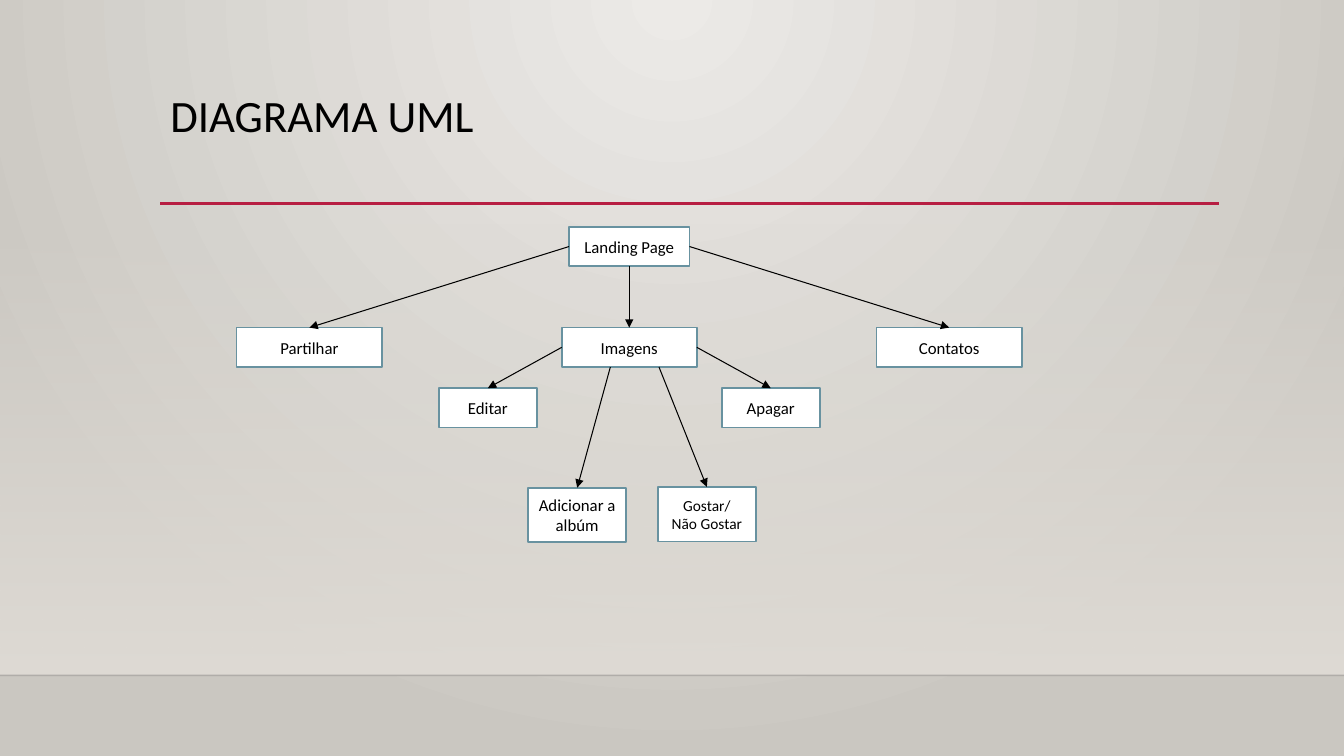
from lxml import etree
from pptx import Presentation
from pptx.dml.color import RGBColor
from pptx.enum.shapes import MSO_CONNECTOR, MSO_SHAPE
from pptx.enum.text import MSO_ANCHOR, PP_ALIGN
from pptx.oxml.ns import qn
from pptx.util import Pt

RECT = MSO_SHAPE.RECTANGLE
LINE = MSO_CONNECTOR.STRAIGHT
TOP, MIDDLE = MSO_ANCHOR.TOP, MSO_ANCHOR.MIDDLE
LEFT, CENTER = PP_ALIGN.LEFT, PP_ALIGN.CENTER

FONT = "Calibri"
WIDE, HIGH = 960, 540
AXIS = 449.5
FLOOR = 482.4
COLORS = {
    "glow": "ECEAE7", "edge": "CAC7C1", "panel": "DFDBD5", "floor": "000001",
    "rule": "B71E42", "box": "FFFFFF", "frame": "6892A0", "ink": "000000",
}
TITLE = "DIAGRAMA UML"

# name: lines, offset from axis, top, width, height, text size
BOXES = {
    "landing": (["Landing Page"], 0, 162, 86, 28.2, 12),
    "images": (["Imagens"], 0, 234, 96.5, 28.2, 12),
    "share": (["Partilhar"], -228.5, 234, 104, 28.2, 12),
    "contact": (["Contatos"], 228.5, 234, 104, 28.2, 12),
    "edit": (["Editar"], -101, 277.2, 70, 28.2, 12),
    "delete": (["Apagar"], 101, 277.2, 70, 28.2, 12),
    "album": (["Adicionar a albúm"], -37.2, 348.4, 70, 39, 12),
    "like": (["Gostar/", "Não Gostar"], 55.4, 347.8, 70, 39, 11),
}
LINKS = [
    ("landing", "images", 0.5, 1),
    ("landing", "share", 0, 0.5),
    ("landing", "contact", 1, 0.5),
    ("images", "edit", 0, 0.5),
    ("images", "delete", 1, 0.5),
    ("images", "album", 0.36, 1),
    ("images", "like", 0.72, 1),
]


def rgb(name):
    return RGBColor.from_string(COLORS[name])


def fade(fill, first, last):
    fill.gradient()
    for stop, name, place in zip(fill.gradient_stops, (first, last), (0, 1)):
        stop.color.rgb = rgb(name)
        stop.position = place


def clear(root, share):
    tint = next(root.iter(qn("a:srgbClr")))
    etree.SubElement(tint, qn("a:alpha"), val=str(share * 1000))


def draw(slide, start, end, name, width, arrow=False):
    line = slide.shapes.add_connector(LINE, *map(Pt, start + end))
    line.line.color.rgb = rgb(name)
    line.line.width = Pt(width)
    if arrow:
        etree.SubElement(line.line._get_or_add_ln(), qn("a:tailEnd"), type="triangle")
    etree.SubElement(line._element.spPr, qn("a:effectLst"))
    return line


def block(slide, left, top, width, height):
    shape = slide.shapes.add_shape(RECT, *map(Pt, (left, top, width, height)))
    shape.shadow.inherit = False
    return shape


def write(para, text, size, align):
    para.text = text
    para.alignment = align
    para.font.size = Pt(size)
    para.font.name = FONT
    para.font.color.rgb = rgb("ink")


def scene(slide):
    back = slide.background.fill
    fade(back, "glow", "edge")
    grad = next(slide._element.iter(qn("a:gradFill")))
    grad.remove(grad.find(qn("a:lin")))
    ring = etree.SubElement(grad, qn("a:path"), path="circle")
    etree.SubElement(ring, qn("a:fillToRect"), l="43000", t="0", r="43000", b="100000")

    panel = block(slide, 0, 159, WIDE, FLOOR - 159)
    panel.line.fill.background()
    fade(panel.fill, "panel", "panel")
    panel.fill.gradient_angle = 270
    clear(panel._element.spPr, 0)

    floor = draw(slide, (0, FLOOR), (WIDE, FLOOR), "floor", 1)
    clear(floor._element.spPr, 20)
    draw(slide, (114.5, 145.2), (871, 145.2), "rule", 2.5)


def heading(slide):
    title = slide.shapes.title
    title.left, title.top, title.width, title.height = map(Pt, (114.5, 63.4, 756, 82.8))
    title.text_frame.vertical_anchor = TOP
    para = title.text_frame.paragraphs[0]
    write(para, TITLE, 32, LEFT)
    para.line_spacing = 0.9


def node(slide, lines, shift, top, width, height, size):
    box = block(slide, AXIS + shift - width / 2, top, width, height)
    box.fill.solid()
    box.fill.fore_color.rgb = rgb("box")
    box.line.color.rgb = rgb("frame")
    box.line.width = Pt(1.25)
    frame = box.text_frame
    frame.word_wrap = True
    frame.vertical_anchor = MIDDLE
    for i, text in enumerate(lines):
        para = frame.add_paragraph() if i else frame.paragraphs[0]
        write(para, text, size, CENTER)


def point(name, across, down):
    _, shift, top, width, height, _ = BOXES[name]
    return AXIS + shift + (across - 0.5) * width, top + down * height


def main():
    deck = Presentation()
    deck.slide_width, deck.slide_height = Pt(WIDE), Pt(HIGH)
    slide = deck.slides.add_slide(deck.slide_layouts[5])
    scene(slide)
    heading(slide)
    for data in BOXES.values():
        node(slide, *data)
    for source, target, across, down in LINKS:
        draw(slide, point(source, across, down), point(target, 0.5, 0), "ink", 0.75, True)
    deck.save("out.pptx")


if __name__ == "__main__":
    main()
